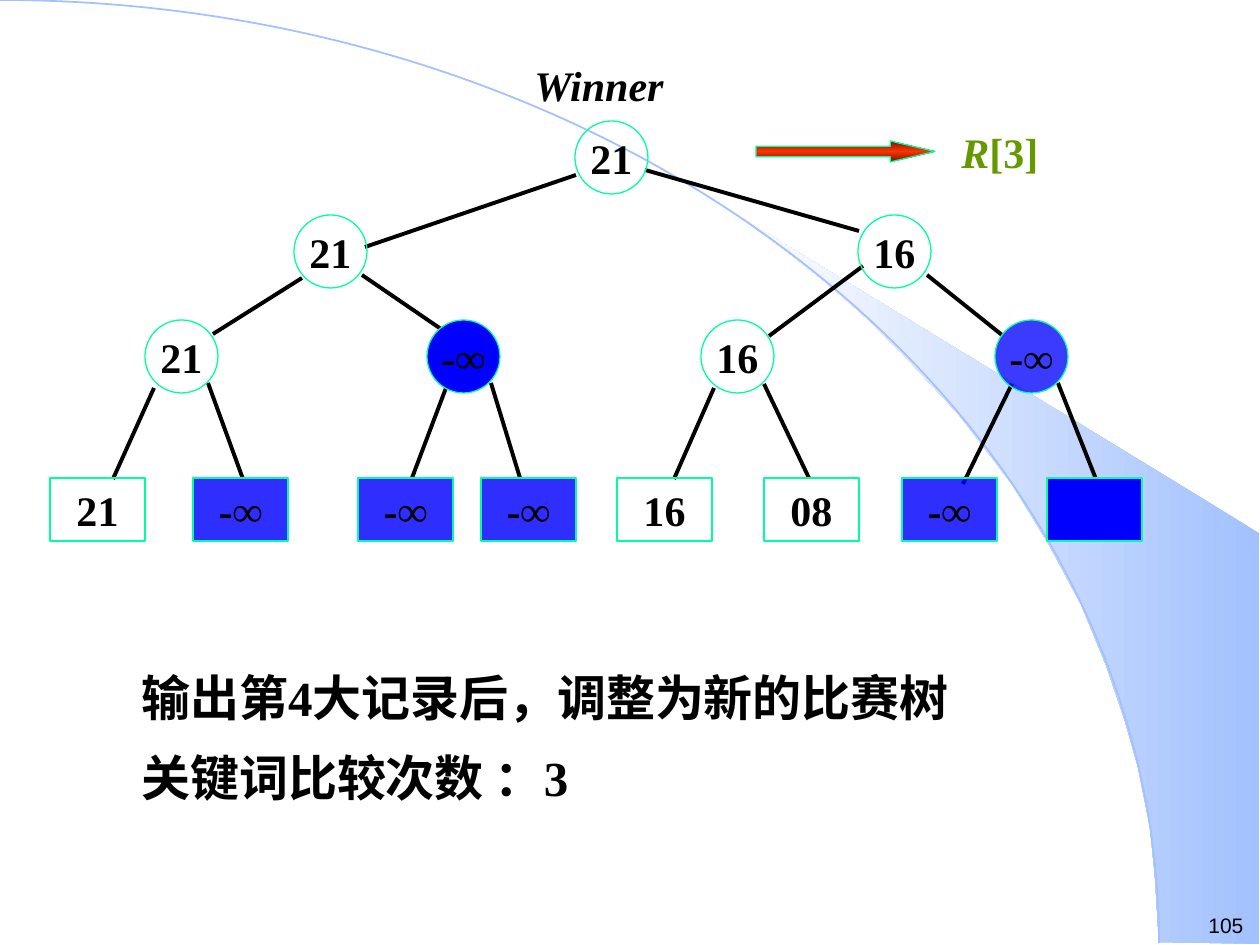
from lxml import etree
from pptx import Presentation
from pptx.dml.color import RGBColor
from pptx.enum.shapes import MSO_CONNECTOR, MSO_SHAPE
from pptx.enum.text import MSO_ANCHOR, PP_ALIGN
from pptx.oxml.ns import qn
from pptx.util import Emu, Pt

ARC, OVAL, RECT, ARROW = MSO_SHAPE.ARC, MSO_SHAPE.OVAL, MSO_SHAPE.RECTANGLE, MSO_SHAPE.RIGHT_ARROW
STRAIGHT = MSO_CONNECTOR.STRAIGHT
LEFT, CENTER, JUSTIFY = PP_ALIGN.LEFT, PP_ALIGN.CENTER, PP_ALIGN.JUSTIFY
TOP, MIDDLE = MSO_ANCHOR.TOP, MSO_ANCHOR.MIDDLE

SCALE = 914400 / 126
BLACK, BLUE, MINT, SKY, GREEN = "000000", "0000FF", "00FF9F", "A2C1FE", "669900"
SERIF = "Times New Roman"
NODE, LEAF_W, LEAF_H, LEAF_Y = 73, 95, 63, 478

WEDGE = [
    (1159, 942), (1259, 944), (1259, 533), (742, 218), (786, 251), (823, 280),
    (863, 315), (902, 353), (960, 416), (1012, 484), (1048, 543), (1081, 604),
    (1106, 665), (1125, 721), (1138, 767), (1150, 827), (1155, 877),
]
EDGES = [
    (645, 170, 859, 231), (576, 175, 365, 247),
    (863, 266, 769, 336), (927, 275, 1002, 335),
    (302, 278, 213, 334), (362, 275, 441, 329),
    (154, 388, 113, 479), (208, 383, 243, 479),
    (446, 388, 412, 478), (491, 383, 520, 478),
    (714, 388, 674, 479), (764, 384, 809, 478),
    (1012, 384, 963, 484), (1058, 383, 1096, 479),
]
NODES = [
    (575, 121, "21", None, 100),
    (294, 215, "21", None, 100), (858, 215, "16", None, 100),
    (145, 320, "21", None, 100), (427, 320, "-∞", BLUE, 100),
    (701, 320, "16", None, 100), (995, 320, "-∞", BLUE, 77),
]
LEAVES = [
    (50, "21", None, 100), (193, "-∞", BLUE, 82), (358, "-∞", BLUE, 82),
    (481, "-∞", BLUE, 82), (617, "16", None, 100), (764, "08", None, 100),
    (902, "-∞", BLUE, 82), (1047, "", BLUE, 100),
]


def px(n):
    return Emu(round(n * SCALE))


def rgb(value):
    return RGBColor.from_string(value)


def write(tf, paragraphs, size=24, font=SERIF, color=BLACK, bold=True,
          align=LEFT, anchor=TOP, spacing=None, wrap=False):
    tf.word_wrap = wrap
    tf.vertical_anchor = anchor
    for i, runs in enumerate(paragraphs):
        p = tf.add_paragraph() if i else tf.paragraphs[0]
        p.alignment = align
        if spacing:
            p.line_spacing = spacing
        for text, italic in runs:
            r = p.add_run()
            r.text = text
            r.font.size = Pt(size)
            r.font.name = font
            r.font.bold = bold
            r.font.italic = italic
            r.font.color.rgb = rgb(color)


def add_text(s, x, y, w, h, paragraphs, **fmt):
    tf = s.shapes.add_textbox(px(x), px(y), px(w), px(h)).text_frame
    write(tf, paragraphs, **fmt)


def add_shape(s, kind, x, y, w, h, fill=None, opacity=100, line=MINT, width=0.75):
    sp = s.shapes.add_shape(kind, px(x), px(y), px(w), px(h))
    sp.shadow.inherit = False
    sp.line.color.rgb = rgb(line)
    sp.line.width = Pt(width)
    if fill:
        sp.fill.solid()
        sp.fill.fore_color.rgb = rgb(fill)
        if opacity < 100:
            clr = sp._element.spPr.find(qn("a:solidFill"))[0]
            etree.SubElement(clr, qn("a:alpha"), val=str(opacity * 1000))
    else:
        sp.fill.background()
    return sp


def set_gradient(sp, colors, angle):
    sp.fill.gradient()
    sp.fill.gradient_angle = angle
    stops = sp._element.spPr.find(qn("a:gradFill")).find(qn("a:gsLst"))
    for gs in list(stops):
        stops.remove(gs)
    for i, color in enumerate(colors):
        gs = etree.SubElement(stops, qn("a:gs"), pos=str(100000 * i // (len(colors) - 1)))
        etree.SubElement(gs, qn("a:srgbClr"), val=color)


def add_edge(s, x1, y1, x2, y2):
    line = s.shapes.add_connector(STRAIGHT, px(x1), px(y1), px(x2), px(y2))
    line.line.color.rgb = rgb(BLACK)
    line.line.width = Pt(2.25)
    etree.SubElement(line._element.spPr, qn("a:effectLst"))


def add_node(s, kind, x, y, w, h, label, fill, opacity):
    sp = add_shape(s, kind, x, y, w, h, fill, opacity)
    if label:
        write(sp.text_frame, [[(label, False)]], align=CENTER, anchor=MIDDLE)


def add_backdrop(s):
    builder = s.shapes.build_freeform(*WEDGE[0], scale=SCALE)
    builder.add_line_segments(WEDGE[1:], close=True)
    wedge = builder.convert_to_shape()
    wedge.shadow.inherit = False
    wedge.line.fill.background()
    set_gradient(wedge, [SKY, "FEFEFE"], 180)
    add_shape(s, ARC, -1159, 0, 2318, 1886, line=SKY, width=1)


def add_tree(s):
    for edge in EDGES:
        add_edge(s, *edge)
    for x, y, *content in NODES:
        add_node(s, OVAL, x, y, NODE, NODE, *content)
    for x, *content in LEAVES:
        add_node(s, RECT, x, LEAF_Y, LEAF_W, LEAF_H, *content)


def add_output_arrow(s):
    sp = add_shape(s, ARROW, 756, 141, 179, 21)
    sp.adjustments[0] = 0.5
    sp.adjustments[1] = 2.13
    set_gradient(sp, ["751700", "FF3300", "751700"], 90)


def main():
    prs = Presentation()
    prs.slide_width, prs.slide_height = px(1260), px(945)
    s = prs.slides.add_slide(prs.slide_layouts[6])
    add_backdrop(s)
    add_text(s, 1196, 906, 64, 38, [[("105", False)]], size=12, font="Arial", bold=False)
    add_text(s, 129, 641, 1094, 189,
             [[("输出第4大记录后，调整为新的比赛树", False)], [("关键词比较次数 ：3", False)]],
             size=28, align=JUSTIFY, spacing=1.35, wrap=True)
    add_tree(s)
    add_text(s, 522, 53, 166, 63, [[("Winner", True)]])
    add_output_arrow(s)
    add_text(s, 949, 120, 102, 63, [[("R", True), ("[3]", False)]], color=GREEN)
    prs.save("out.pptx")


if __name__ == "__main__":
    main()
